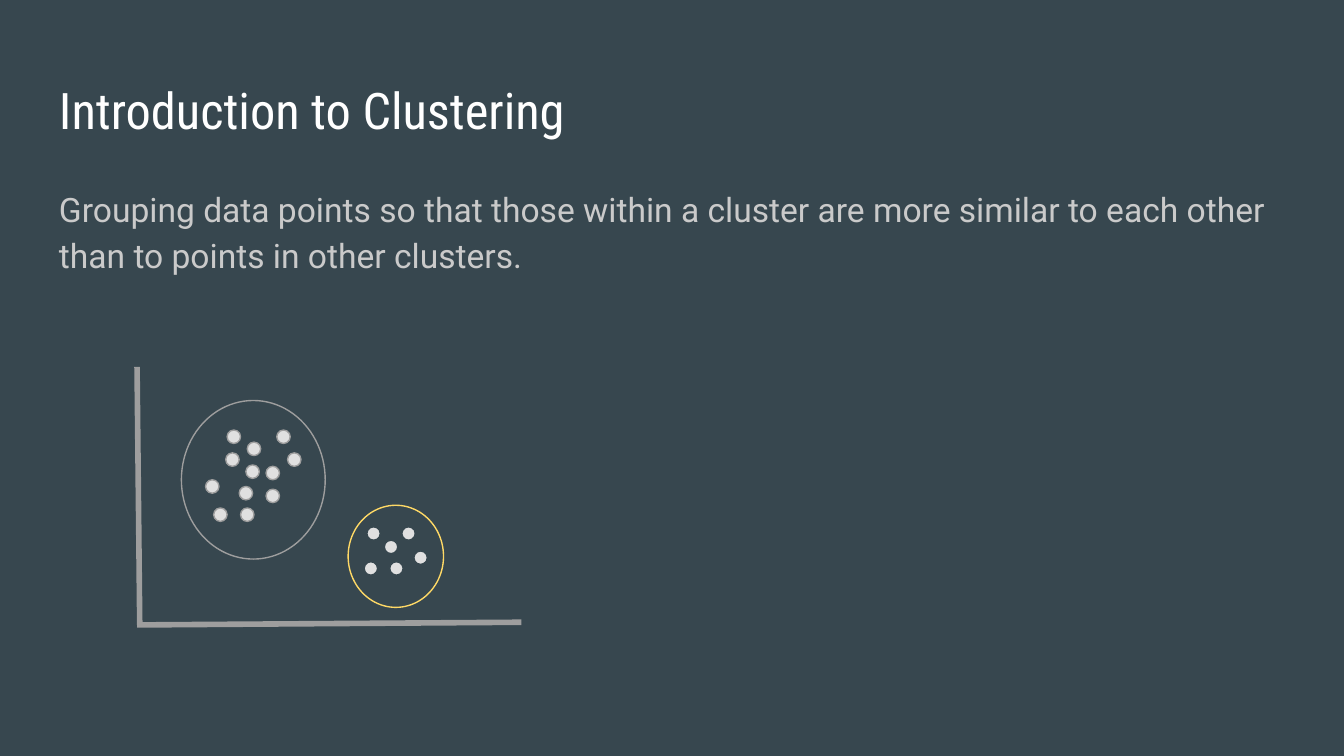
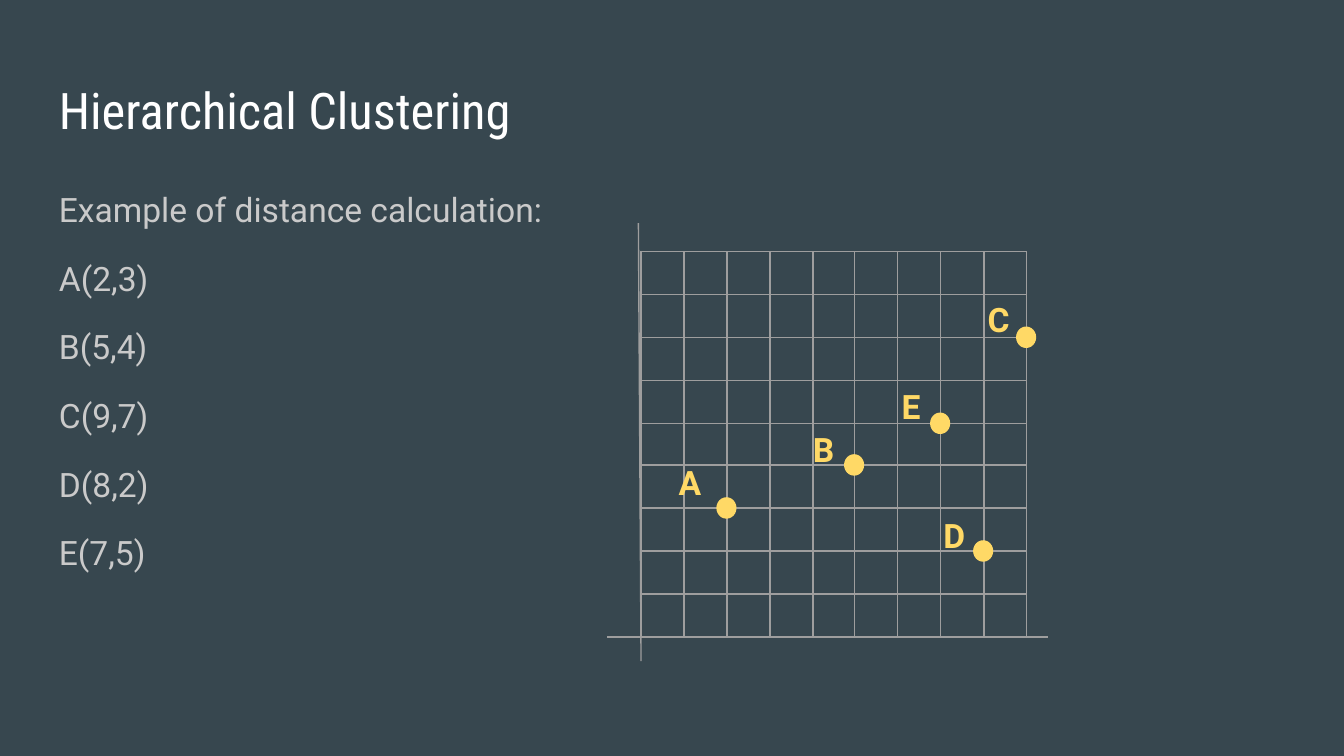
from dataclasses import dataclass
from typing import NamedTuple, Optional

from lxml import etree
from pptx import Presentation
from pptx.dml.color import RGBColor
from pptx.enum.shapes import MSO_CONNECTOR, MSO_SHAPE
from pptx.enum.text import MSO_ANCHOR
from pptx.oxml.ns import qn
from pptx.util import Emu, Pt

STRAIGHT = MSO_CONNECTOR.STRAIGHT
DOT = MSO_SHAPE.FLOWCHART_CONNECTOR
ELLIPSE = MSO_SHAPE.OVAL
RECTANGLE = MSO_SHAPE.RECTANGLE
TOP = MSO_ANCHOR.TOP

EMU_PER_PX = 9144  # 100 px to the inch


def px(length: int) -> Emu:
    return Emu(length * EMU_PER_PX)


class TextStyle(NamedTuple):
    color: RGBColor
    font: dict
    paragraph: dict


@dataclass(frozen=True)
class Theme:
    background: RGBColor = RGBColor(0x37, 0x47, 0x4F)
    grey: RGBColor = RGBColor(0x9E, 0x9E, 0x9E)
    pale: RGBColor = RGBColor(0xE0, 0xE0, 0xE0)
    yellow: RGBColor = RGBColor(0xFF, 0xD9, 0x66)
    thin: float = 0.75
    thick: float = 3
    inset: int = 10
    title: TextStyle = TextStyle(
        RGBColor(0xFF, 0xFF, 0xFF),
        {"name": "Roboto Condensed", "size": Pt(27)}, {})
    body: TextStyle = TextStyle(
        RGBColor(0xCA, 0xCA, 0xCA),
        {"name": "Roboto", "size": Pt(18)}, {"line_spacing": 1.15})
    label: TextStyle = TextStyle(
        yellow,
        {"name": "Roboto", "size": Pt(18), "bold": True},
        {"line_spacing": 1.15})


THEME = Theme()


class Box(NamedTuple):
    left: int
    top: int
    width: int
    height: int


class Line(NamedTuple):
    start: tuple[int, int]
    end: tuple[int, int]
    weight: float


class Cluster(NamedTuple):
    outline: Box
    outline_color: RGBColor
    dot_line: RGBColor
    dots: list[tuple[int, int]]


class Point(NamedTuple):
    name: str
    x: int
    y: int
    label: Box


TITLE_BOX = Box(34, 49, 932, 63)
DOT_SIZE = 10

# Scatter sketch: axes and two clusters
SKETCH_AXES = [
    Line((102, 465), (388, 463), THEME.thick),
    Line((104, 465), (102, 273), THEME.thick),
]
CLUSTERS = [
    Cluster(Box(135, 298, 107, 118), THEME.grey, THEME.grey, [
        (168, 337), (153, 357), (183, 346), (198, 364), (159, 378), (214, 337),
        (169, 320), (178, 362), (184, 329), (198, 347), (179, 378), (206, 320),
    ]),
    Cluster(Box(259, 376, 71, 76), THEME.yellow, THEME.background, [
        (299, 392), (290, 418), (273, 392), (286, 402), (271, 418), (308, 410),
    ]),
]

# Coordinate grid: square with equal cells, origin at its bottom left
GRID = Box(477, 187, 287, 287)
GRID_CELLS = 9
GRID_AXES = [
    Line((475, 166), (477, 492), THEME.thin),
    Line((452, 474), (780, 474), THEME.thin),
]
POINT_WIDTH, POINT_HEIGHT = 15, 16
POINTS = [
    Point("A", 2, 3, Box(495, 329, 45, 50)),
    Point("B", 5, 4, Box(595, 305, 52, 50)),
    Point("C", 9, 7, Box(725, 208, 45, 50)),
    Point("D", 8, 2, Box(692, 369, 45, 50)),
    Point("E", 7, 5, Box(661, 273, 45, 50)),
]


def grid_step(count: int) -> int:
    return round(GRID.width * count / GRID_CELLS)


def add_text(page, box: Box, lines: list[str], style: TextStyle,
             gap: int = 0) -> None:
    frame = page.shapes.add_textbox(*map(px, box)).text_frame
    frame_format = {"word_wrap": True, "vertical_anchor": TOP}
    for side in ("left", "top", "right", "bottom"):
        frame_format[f"margin_{side}"] = px(THEME.inset)
    for name, value in frame_format.items():
        setattr(frame, name, value)
    for index, line in enumerate(lines):
        para = frame.paragraphs[0] if index == 0 else frame.add_paragraph()
        for name, value in style.paragraph.items():
            setattr(para, name, value)
        if index:
            para.space_before = Pt(gap)
        span = para.add_run()
        span.text = line
        for name, value in style.font.items():
            setattr(span.font, name, value)
        span.font.color.rgb = style.color


def add_shape(page, kind, box: Box, fill: Optional[RGBColor] = None,
              line: Optional[RGBColor] = None) -> None:
    shape = page.shapes.add_shape(kind, *map(px, box))
    shape.shadow.inherit = False
    if fill is None:
        shape.fill.background()
    else:
        shape.fill.solid()
        shape.fill.fore_color.rgb = fill
    if line is None:
        shape.line.fill.background()
    else:
        shape.line.color.rgb = line
        shape.line.width = Pt(THEME.thin)


def add_line(page, line: Line) -> None:
    connector = page.shapes.add_connector(
        STRAIGHT, *map(px, line.start + line.end))
    connector.line.color.rgb = THEME.grey
    connector.line.width = Pt(line.weight)
    etree.SubElement(connector._element.spPr, qn("a:effectLst"))


def add_page(deck, title: str):
    page = deck.slides.add_slide(deck.slide_layouts[6])
    page.background.fill.solid()
    page.background.fill.fore_color.rgb = THEME.background
    add_text(page, TITLE_BOX, [title], THEME.title)
    return page


def build_introduction(deck) -> None:
    page = add_page(deck, "Introduction to Clustering")
    add_text(page, Box(34, 126, 932, 114), [
        "Grouping data points so that those within a cluster are more similar "
        "to each other than to points in other clusters."], THEME.body)
    for axis in SKETCH_AXES:
        add_line(page, axis)
    for cluster in CLUSTERS:
        for left, top in cluster.dots:
            add_shape(page, DOT, Box(left, top, DOT_SIZE, DOT_SIZE),
                      THEME.pale, cluster.dot_line)
        add_shape(page, ELLIPSE, cluster.outline, line=cluster.outline_color)


def build_hierarchical(deck) -> None:
    page = add_page(deck, "Hierarchical Clustering")
    coordinates = [f"{point.name}({point.x},{point.y})" for point in POINTS]
    add_text(page, Box(34, 126, 391, 366),
             ["Example of distance calculation:", *coordinates],
             THEME.body, gap=12)

    # Rows and columns of the grid, then its axes
    for index in range(GRID_CELLS):
        start = grid_step(index)
        size = grid_step(index + 1) - start
        row = Box(GRID.left, GRID.top + start, GRID.width, size)
        column = Box(GRID.left + start, GRID.top, size, GRID.height)
        for band in (row, column):
            add_shape(page, RECTANGLE, band, line=THEME.grey)
    for axis in GRID_AXES:
        add_line(page, axis)

    # Points at their coordinates, with letters
    for point in POINTS:
        left = GRID.left + grid_step(point.x) - POINT_WIDTH // 2 - 1
        top = GRID.top + GRID.height - grid_step(point.y) - POINT_HEIGHT // 2
        add_shape(page, ELLIPSE, Box(left, top, POINT_WIDTH, POINT_HEIGHT),
                  THEME.yellow)
        add_text(page, point.label, [point.name], THEME.label)


def main() -> None:
    deck = Presentation()
    deck.slide_width = px(1000)
    deck.slide_height = Emu(deck.slide_width * 9 // 16)
    build_introduction(deck)
    build_hierarchical(deck)
    deck.save("out.pptx")


if __name__ == "__main__":
    main()
